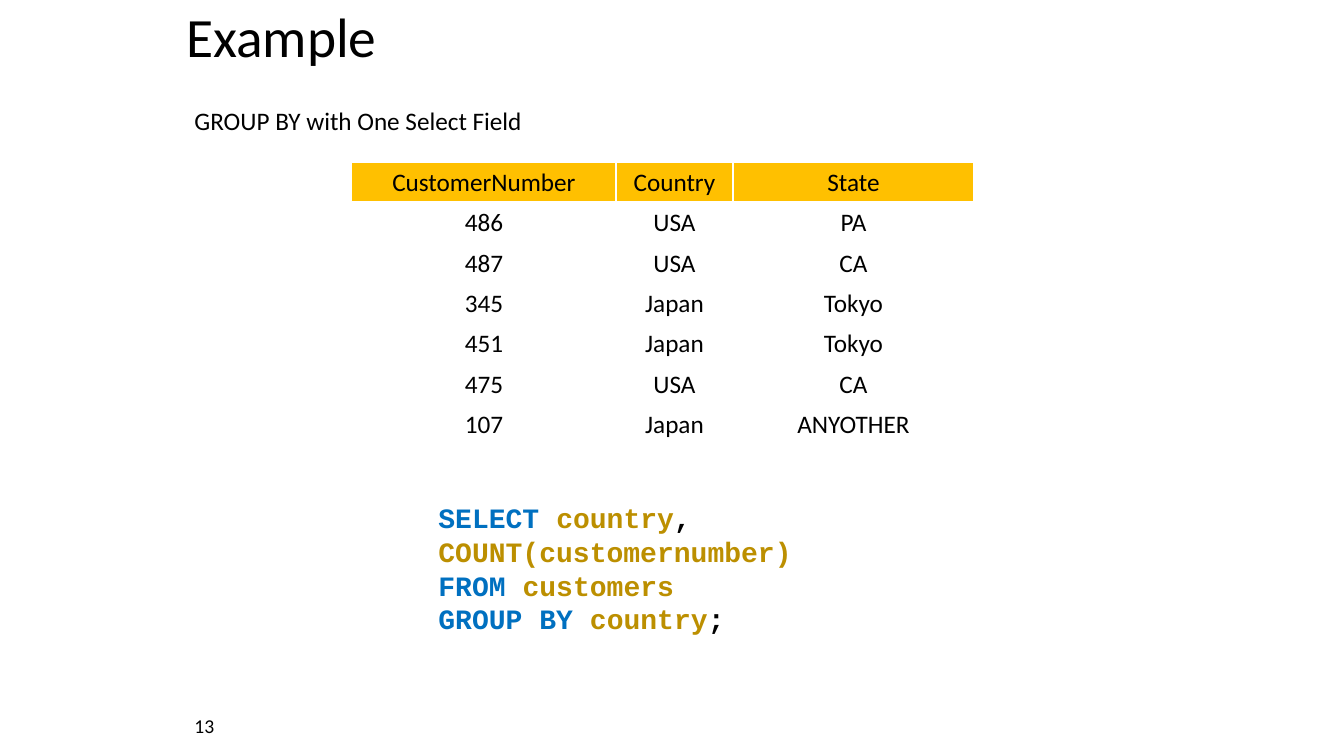
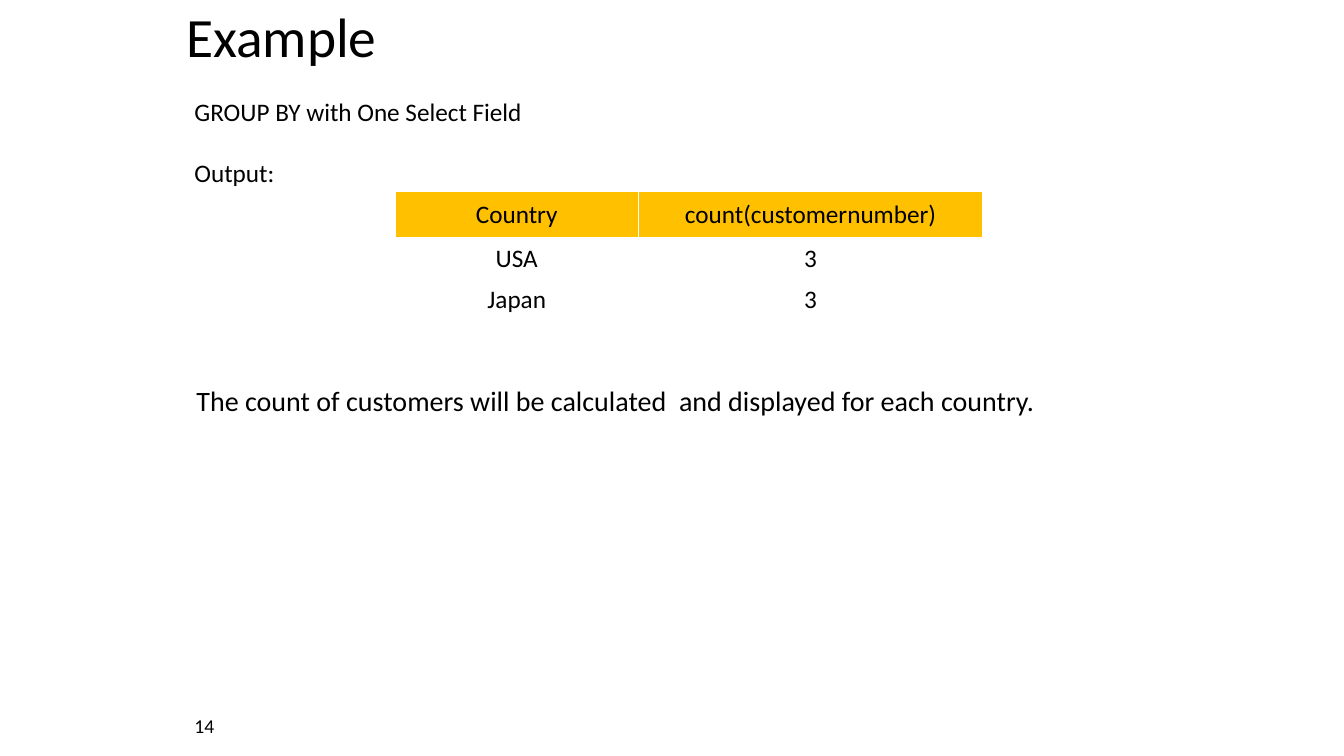
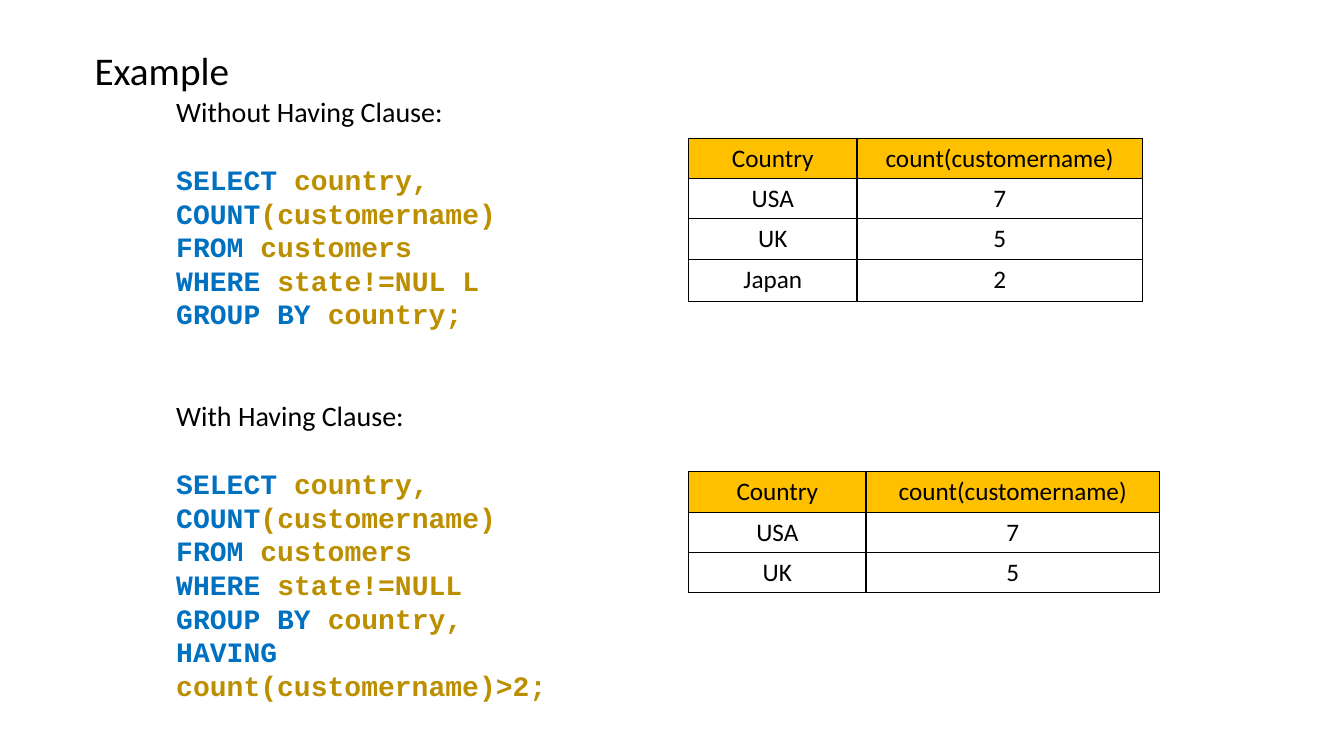
"""Build three slides on SQL grouping with and without a HAVING clause."""
from dataclasses import dataclass, field
from itertools import product
from typing import Any

from lxml.etree import SubElement
from pptx import Presentation
from pptx.dml.color import RGBColor
from pptx.enum.text import MSO_ANCHOR, MSO_AUTO_SIZE, PP_ALIGN
from pptx.oxml.ns import qn
from pptx.slide import Slide
from pptx.util import Inches, Pt


@dataclass(frozen=True)
class Theme:
    """Colours, fonts and type sizes of the deck."""

    ink: str = "000000"
    paper: str = "FFFFFF"
    header: str = "FFC000"
    keyword: str = "0070C0"
    name: str = "BC8F00"
    prose_font: str = "Calibri"
    code_font: str = "Courier New"
    title: float = 39.6
    clause_title: float = 28
    body: float = 20
    label: float = 18
    number: float = 14
    line_height: float = 1.22


THEME = Theme()


@dataclass(frozen=True)
class Span:
    """A stretch of text in one style."""

    text: str
    size: float = THEME.body
    color: str = THEME.ink
    code: bool = False


@dataclass(frozen=True)
class Line:
    """A paragraph with the space above it in points."""

    spans: list[Span]
    before: float = 0
    spacing: float | None = None


@dataclass(frozen=True)
class Passage:
    """A block of lines at left, top, width, height in inches."""

    at: tuple[float, float, float, float]
    lines: list[Line]
    frame: dict[str, Any] = field(
        default_factory=lambda: {"auto_size": MSO_AUTO_SIZE.SHAPE_TO_FIT_TEXT})


@dataclass(frozen=True)
class Result:
    """A query result with its place, sizes and rules."""

    at: tuple[float, float]
    columns: list[float]
    heights: list[float]
    records: list[list[str]]
    rule: str
    header_rule: float = 1


def apply(target: Any, values: dict[str, Any]) -> None:
    """Set every named attribute on the target."""
    for key, value in values.items():
        setattr(target, key, value)


def prose(text: str, size: float, blank: int = 0) -> Line:
    """Return a plain line below a number of line-high gaps."""
    return Line([Span(text, size)], blank * size * THEME.line_height)


def sql(*parts: tuple[str, str], blank: int = 0) -> Line:
    """Return a line of SQL from colour and text pairs."""
    spans = [Span(text, color=color, code=True) for color, text in parts]
    return Line(spans, blank * THEME.body * THEME.line_height)


def fill_line(paragraph: Any, line: Line) -> None:
    """Write one line into a paragraph."""
    apply(paragraph, {"space_before": Pt(line.before), "line_spacing": line.spacing})
    for span in line.spans:
        run = paragraph.add_run()
        run.text = span.text
        apply(run.font, {
            "name": THEME.code_font if span.code else THEME.prose_font,
            "size": Pt(span.size),
            "bold": span.code,
        })
        run.font.color.rgb = RGBColor.from_string(span.color)


def draw_passage(slide: Slide, passage: Passage) -> None:
    """Add a text box holding the passage."""
    frame = slide.shapes.add_textbox(*map(Inches, passage.at)).text_frame
    apply(frame, {"word_wrap": True, **passage.frame})
    for index, line in enumerate(passage.lines):
        fill_line(frame.add_paragraph() if index else frame.paragraphs[0], line)


def draw_rules(cell: Any, color: str, bottom: float) -> None:
    """Draw the four borders of a cell."""
    properties = cell._tc.get_or_add_tcPr()
    widths = {"a:lnL": 1, "a:lnR": 1, "a:lnT": 1, "a:lnB": bottom}
    for index, (side, width) in enumerate(widths.items()):
        border = SubElement(properties, qn(side), w=str(Pt(width)))
        SubElement(SubElement(border, qn("a:solidFill")), qn("a:srgbClr"), val=color)
        properties.insert(index, border)


def draw_result(slide: Slide, result: Result) -> None:
    """Add a table with a coloured header row."""
    extent = (*result.at, sum(result.columns), sum(result.heights))
    table = slide.shapes.add_table(
        len(result.heights), len(result.columns), *map(Inches, extent)).table
    apply(table, {"first_row": False, "horz_banding": False})
    for column, width in zip(table.columns, result.columns):
        column.width = Inches(width)
    for row, height in zip(table.rows, result.heights):
        row.height = Inches(height)
    for row, column in product(range(len(result.heights)), range(len(result.columns))):
        cell = table.cell(row, column)
        cell.vertical_anchor = MSO_ANCHOR.MIDDLE
        paragraph = cell.text_frame.paragraphs[0]
        paragraph.alignment = PP_ALIGN.CENTER
        fill_line(paragraph, prose(result.records[row][column], THEME.label))
        if row == 0:
            cell.fill.solid()
            cell.fill.fore_color.rgb = RGBColor.from_string(THEME.header)
        else:
            cell.fill.background()
        draw_rules(cell, result.rule, 1 if row else result.header_rule)


def title(at: tuple[float, float, float, float], size: float) -> Passage:
    """Return the slide title."""
    return Passage(at, [Line([Span("Example", size)], spacing=0.9)],
                   {"vertical_anchor": MSO_ANCHOR.MIDDLE})


def grouping_frame(number: int) -> list[Passage]:
    """Return the title and page number of a grouping slide."""
    return [
        title((1.75, 0.2, 7.5, 0.38), THEME.title),
        Passage((1.83, 7.03, 0.5, 0.3), [prose(str(number), THEME.number)], {}),
    ]


def clause_query(heading: str, condition: str, ending: str, blank: int = 0) -> list[Line]:
    """Return a heading and the grouped query below it."""
    return [
        prose(heading, THEME.body, blank),
        sql((THEME.keyword, "SELECT "), (THEME.name, "country, "),
            (THEME.keyword, "COUNT"), (THEME.name, "(customername) "), blank=1),
        sql((THEME.keyword, "FROM"), (THEME.name, " customers ")),
        sql((THEME.keyword, "WHERE"), (THEME.name, condition)),
        sql((THEME.keyword, "GROUP BY "), (THEME.name, ending)),
    ]


TOPIC = prose("GROUP BY with One Select Field", THEME.label)
COUNT_QUERY = [
    sql((THEME.keyword, "SELECT "), (THEME.name, "country"), (THEME.ink, ", "),
        (THEME.name, "COUNT(customernumber) ")),
    sql((THEME.keyword, "FROM "), (THEME.name, "customers ")),
    sql((THEME.keyword, "GROUP BY "), (THEME.name, "country"), (THEME.ink, ";")),
]
CUSTOMERS = Result(
    (3.49, 1.61), [2.62, 1.16, 2.39], [0.4] * 7,
    [["CustomerNumber", "Country", "State"],
     ["486", "USA", "PA"],
     ["487", "USA", "CA"],
     ["345", "Japan", "Tokyo"],
     ["451", "Japan", "Tokyo"],
     ["475", "USA", "CA"],
     ["107", "Japan", "ANYOTHER"]],
    THEME.paper, 3)
COUNTRY_COUNTS = Result(
    (3.92, 1.9), [2.41, 3.42], [0.47, 0.4, 0.4],
    [["Country", "count(customernumber)"], ["USA", "3"], ["Japan", "3"]],
    THEME.paper, 3)
CLAUSE_COUNTS = [["Country", "count(customername)"], ["USA", "7"], ["UK", "5"]]
WITHOUT_HAVING = Result((6.83, 1.37), [1.67, 2.83], [0.4, 0.4, 0.4, 0.42],
                        [*CLAUSE_COUNTS, ["Japan", "2"]], THEME.ink)
WITH_HAVING = Result((6.83, 4.68), [1.76, 2.91], [0.4] * 3, CLAUSE_COUNTS, THEME.ink)
CLAUSE_QUERIES = [
    *clause_query("Without Having Clause:", " state!=NUL L ", "country; "),
    *clause_query("With Having Clause:", " state!=NULL", "country, ", blank=2),
    sql((THEME.keyword, "HAVING"), (THEME.name, " count(customername)>2;")),
]
SLIDES: list[list[Passage | Result]] = [
    [*grouping_frame(13), CUSTOMERS,
     Passage((1.83, 1, 4.17, 0.4), [TOPIC]),
     Passage((4.25, 4.92, 4.17, 1.45), COUNT_QUERY)],
    [*grouping_frame(14), COUNTRY_COUNTS,
     Passage((1.83, 0.91, 4.17, 1.01), [TOPIC, prose("Output:", THEME.label, 1)]),
     Passage((1.85, 3.76, 9, 0.44), [prose(
         "The count of customers will be calculated  and displayed for each country.",
         THEME.body)])],
    [title((0.84, 0, 11.5, 1.45), THEME.clause_title),
     Passage((1.65, 0.89, 4.94, 6.83), CLAUSE_QUERIES),
     WITHOUT_HAVING, WITH_HAVING],
]


def build() -> None:
    """Draw every slide and save the deck."""
    deck = Presentation()
    apply(deck, {"slide_width": Inches(13.33), "slide_height": Inches(7.5)})
    for parts in SLIDES:
        slide = deck.slides.add_slide(deck.slide_layouts[6])
        for part in parts:
            if isinstance(part, Result):
                draw_result(slide, part)
            else:
                draw_passage(slide, part)
    deck.save("out.pptx")


build()
